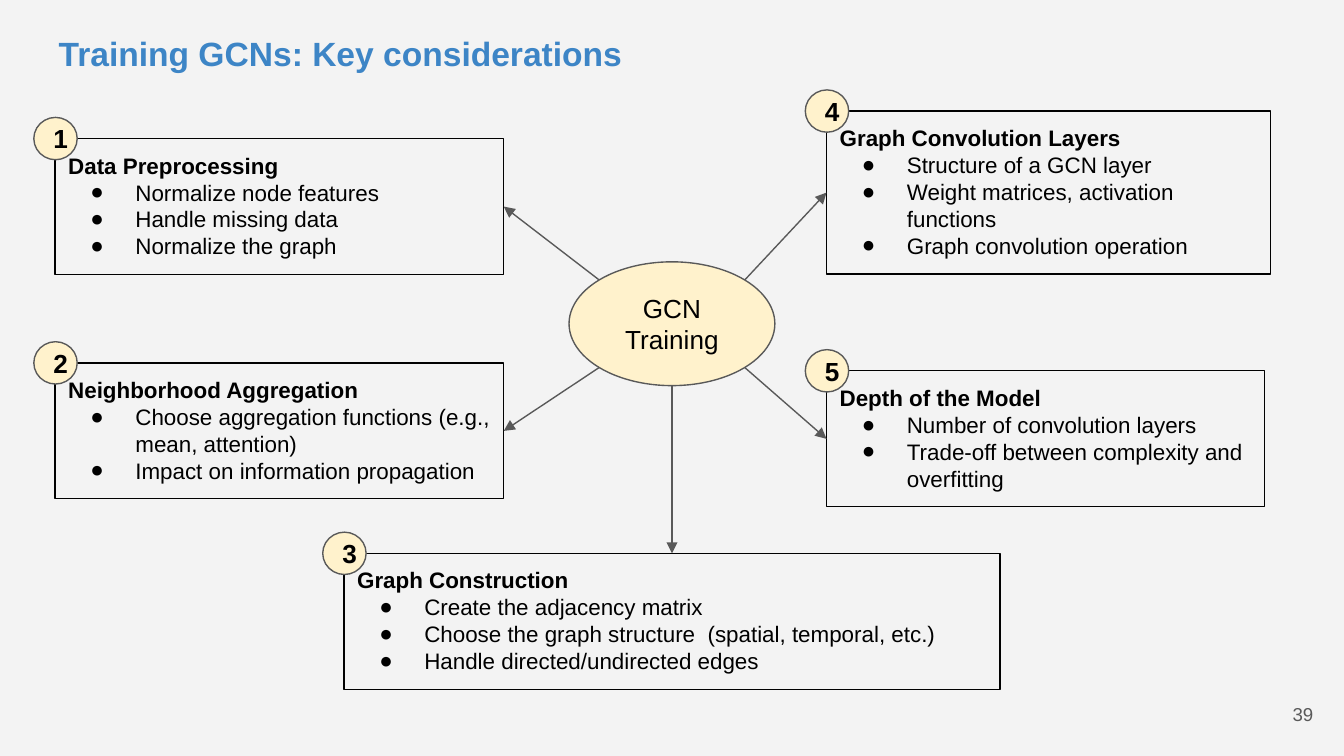
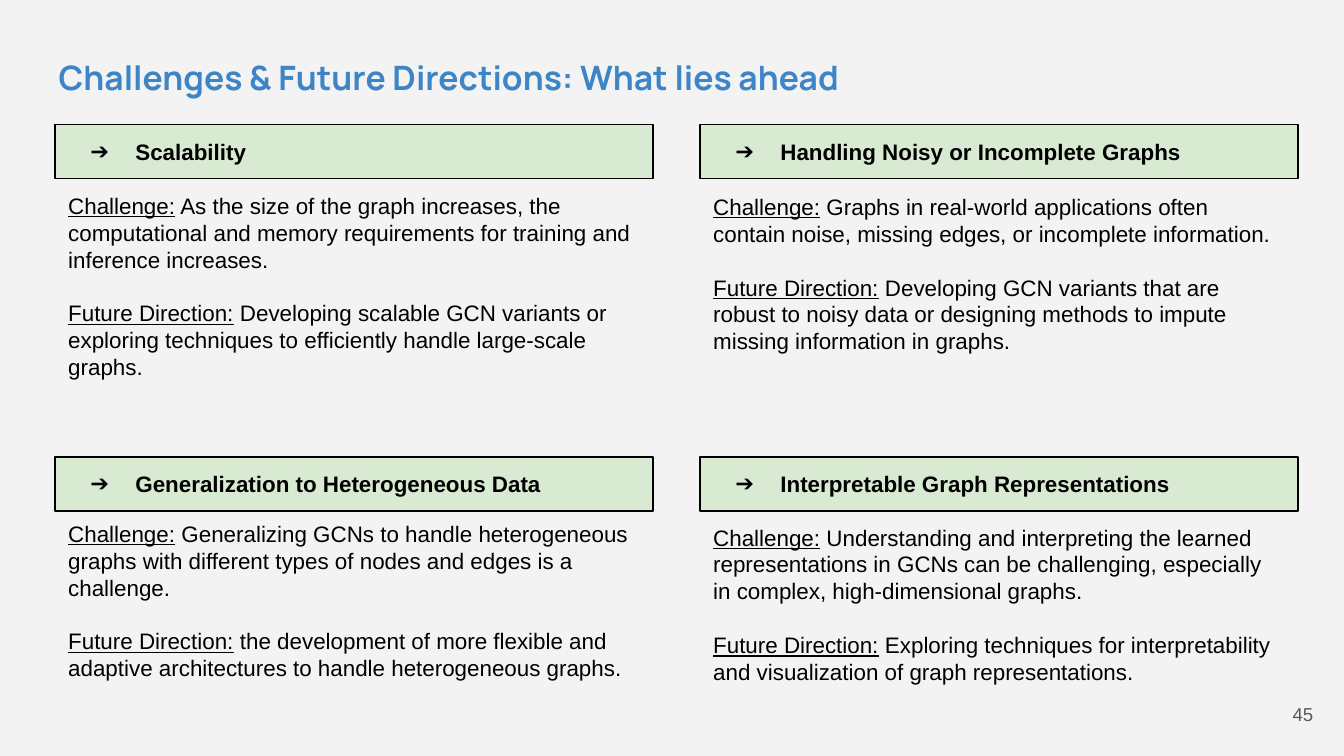
"""Build two slides on training graph convolutional networks and what lies ahead."""
from math import sqrt

from pptx import Presentation
from pptx.dml.color import RGBColor as RGB
from pptx.enum.shapes import MSO_CONNECTOR as LINK, MSO_SHAPE as SHAPE
from pptx.enum.text import MSO_ANCHOR as ANCHOR, PP_ALIGN as ALIGN
from pptx.oxml.ns import qn
from pptx.oxml.xmlchemy import OxmlElement as Node
from pptx.util import Cm, Pt

INK = {"page": "F3F3F3", "title": "3D85C6", "text": "000000",
       "grey": "595959", "cream": "FFF2CC", "green": "D9EAD3"}

TOP, LEFT, RIGHT = 0, 1, 3

TRAIN = {"title": "Training GCNs: Key considerations", "top": 0.38, "font": "Arial", "page": "39"}
HUB = {"lines": ["GCN", "Training"], "mid": (12.7, 6.12), "size": (3.89, 2.34)}
STEPS = [
    ("Data Preprocessing",
     ["Normalize node features", "Handle missing data", "Normalize the graph"],
     (1.04, 2.62, 8.48, 2.57), RIGHT, (-1, -1)),
    ("Neighborhood Aggregation",
     ["Choose aggregation functions (e.g., mean, attention)",
      "Impact on information propagation"],
     (1.04, 6.86, 8.48, 2.57), RIGHT, (-1, 1)),
    ("Graph Construction",
     ["Create the adjacency matrix",
      "Choose the graph structure  (spatial, temporal, etc.)",
      "Handle directed/undirected edges"],
     (6.5, 10.46, 12.4, 2.57), TOP, (0, 1)),
    ("Graph Convolution Layers",
     ["Structure of a GCN layer", "Weight matrices, activation functions",
      "Graph convolution operation"],
     (15.62, 2.1, 8.39, 3.08), LEFT, (1, -1)),
    ("Depth of the Model",
     ["Number of convolution layers", "Trade-off between complexity and overfitting"],
     (15.62, 7.01, 8.28, 2.57), LEFT, (1, 1)),
]

AHEAD = {"title": "Challenges & Future Directions: What lies ahead", "top": 0.82,
         "font": "Manrope", "page": "45"}
TOPICS = [
    ("Scalability", 3.38,
     "As the size of the graph increases, the computational and memory requirements "
     "for training and inference increases.",
     "Developing scalable GCN variants or exploring techniques to efficiently handle "
     "large-scale graphs."),
    ("Handling Noisy or Incomplete Graphs", 3.4,
     "Graphs in real-world applications often contain noise, missing edges, or "
     "incomplete information.",
     "Developing GCN variants that are robust to noisy data or designing methods to "
     "impute missing information in graphs."),
    ("Generalization to Heterogeneous Data", 9.58,
     "Generalizing GCNs to handle heterogeneous graphs with different types of nodes "
     "and edges is a challenge.",
     "the development of more flexible and adaptive architectures to handle "
     "heterogeneous graphs."),
    ("Interpretable Graph Representations", 9.65,
     "Understanding and interpreting the learned representations in GCNs can be "
     "challenging, especially in complex, high-dimensional graphs.",
     "Exploring techniques for interpretability and visualization of graph "
     "representations."),
]


def tint(name):
    return RGB.from_string(INK[name])


def mark(para, sign):
    props = para._p.get_or_add_pPr()
    props.set("marL", str(Cm(1.27)))
    props.set("indent", str(-Cm(0.85)))
    hue = Node("a:buClr")
    rgb = Node("a:srgbClr")
    rgb.set("val", INK["text"])
    hue.append(rgb)
    face = Node("a:buFont")
    face.set("typeface", "Arial")
    char = Node("a:buChar")
    char.set("char", sign)
    props.extend([hue, face, char])


def write(shape, text, lead="", size=12, font="Arial", color="text", bold=False,
          align=ALIGN.LEFT, bullet="", gap=0):
    frame = shape.text_frame
    para = frame.add_paragraph() if frame.text else frame.paragraphs[0]
    if bullet:
        mark(para, bullet)
    para.alignment = align
    if gap:
        para.space_before = Pt(gap)
    for part, under in ((lead, True), (text, False)):
        if part:
            run = para.add_run()
            run.text = part
            run.font.size, run.font.name = Pt(size), font
            run.font.bold, run.font.underline = bold, under
            run.font.color.rgb = tint(color)


def setup(shape, anchor):
    frame = shape.text_frame
    frame.word_wrap = True
    frame.vertical_anchor = anchor
    frame.margin_left = frame.margin_right = Cm(0.25)
    frame.margin_top = frame.margin_bottom = Cm(0.25)
    return shape


def area(slide, box, anchor=ANCHOR.TOP):
    return setup(slide.shapes.add_textbox(*map(Cm, box)), anchor)


def block(slide, kind, box, fill=None, line="text", anchor=ANCHOR.TOP):
    shape = slide.shapes.add_shape(kind, *map(Cm, box))
    shape.shadow.inherit = False
    if fill:
        shape.fill.solid()
        shape.fill.fore_color.rgb = tint(fill)
    else:
        shape.fill.background()
    shape.line.color.rgb = tint(line)
    shape.line.width = Pt(0.75)
    return setup(shape, anchor)


def oval(slide, box):
    return block(slide, SHAPE.OVAL, box, "cream", "grey", ANCHOR.MIDDLE)


def arrow(slide, start, box, side):
    x, y = map(Cm, start)
    link = slide.shapes.add_connector(LINK.STRAIGHT, x, y, x, y)
    link.end_connect(box, side)
    link.line.color.rgb = tint("grey")
    link.line.width = Pt(0.75)
    head = Node("a:tailEnd")
    head.set("type", "triangle")
    props = link.element.spPr
    props.find(qn("a:ln")).append(head)
    props.append(Node("a:effectLst"))


def start(deck, info):
    slide = deck.slides.add_slide(deck.slide_layouts[6])
    slide.background.fill.solid()
    slide.background.fill.fore_color.rgb = tint("page")
    write(area(slide, (0.86, info["top"], 23.67, 1.6)), info["title"],
          size=18, font=info["font"], color="title", bold=True)
    write(area(slide, (23.55, 12.95, 1.52, 1.1), ANCHOR.MIDDLE), info["page"],
          size=10, color="grey", align=ALIGN.RIGHT)
    return slide


def train(deck):
    slide = start(deck, TRAIN)
    (mx, my), (wide, high) = HUB["mid"], HUB["size"]
    hub = oval(slide, (mx - wide / 2, my - high / 2, wide, high))
    for line in HUB["lines"]:
        write(hub, line, size=14, align=ALIGN.CENTER)
    for count, (head, points, box, side, (dx, dy)) in enumerate(STEPS, 1):
        step = block(slide, SHAPE.RECTANGLE, box)
        write(step, head, bold=True)
        for point in points:
            write(step, point, bullet="●")
        badge = oval(slide, (box[0] - 0.4, box[1] - 0.4, 0.82, 0.8))
        write(badge, str(count), size=14, bold=True)
        reach = 2 * sqrt(dx * dx + dy * dy)
        arrow(slide, (mx + dx * wide / reach, my + dy * high / reach), step, side)


def ahead(deck):
    slide = start(deck, AHEAD)
    for spot, (head, top, issue, plan) in enumerate(TOPICS):
        row, col = divmod(spot, 2)
        left = 1.04 + col * 12.19
        body = area(slide, (left, top, 11.3, 3.6))
        write(body, " " + issue, lead="Challenge:")
        write(body, " " + plan, lead="Future Direction:", gap=14.4)
        band = block(slide, SHAPE.RECTANGLE, (left, 2.36 + row * 6.28, 11.3, 1.02), "green")
        write(band, head, bold=True, bullet="➔")


def main():
    deck = Presentation()
    deck.slide_width, deck.slide_height = Cm(25.4), Cm(14.29)
    train(deck)
    ahead(deck)
    deck.save("out.pptx")


if __name__ == "__main__":
    main()
